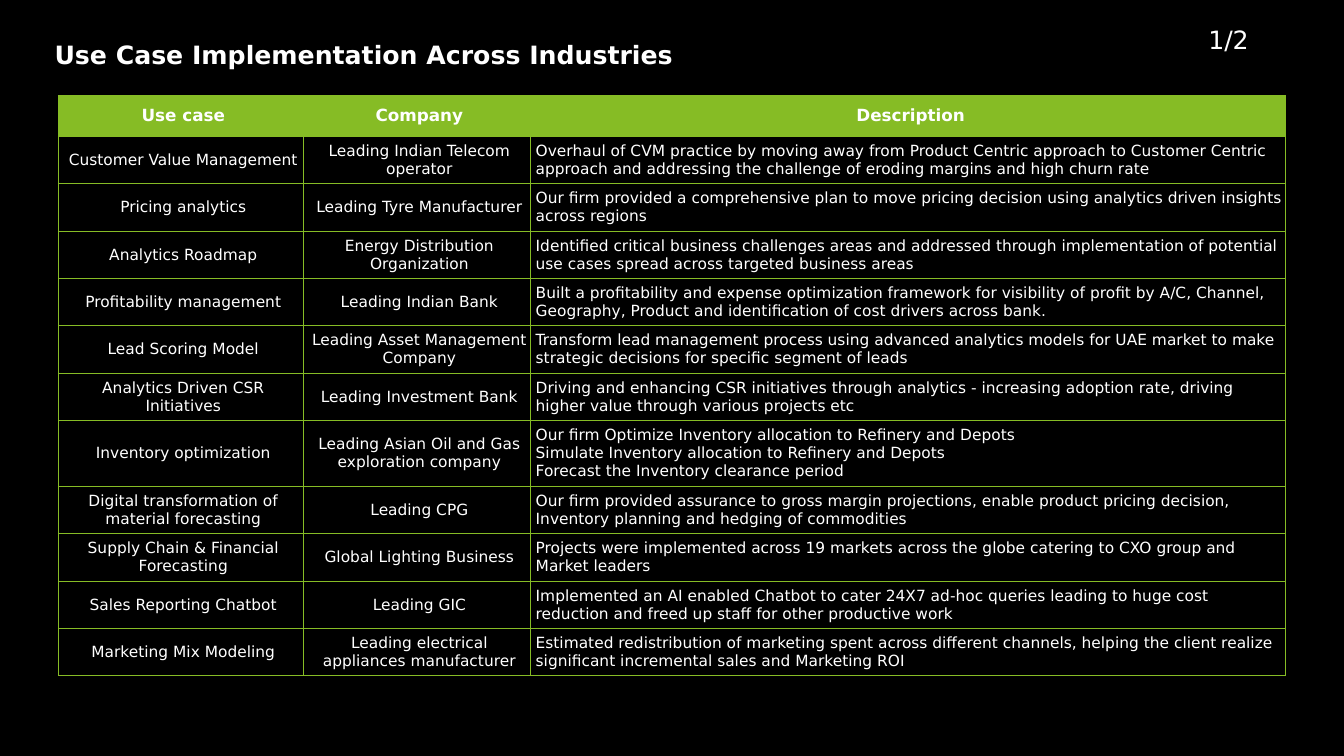
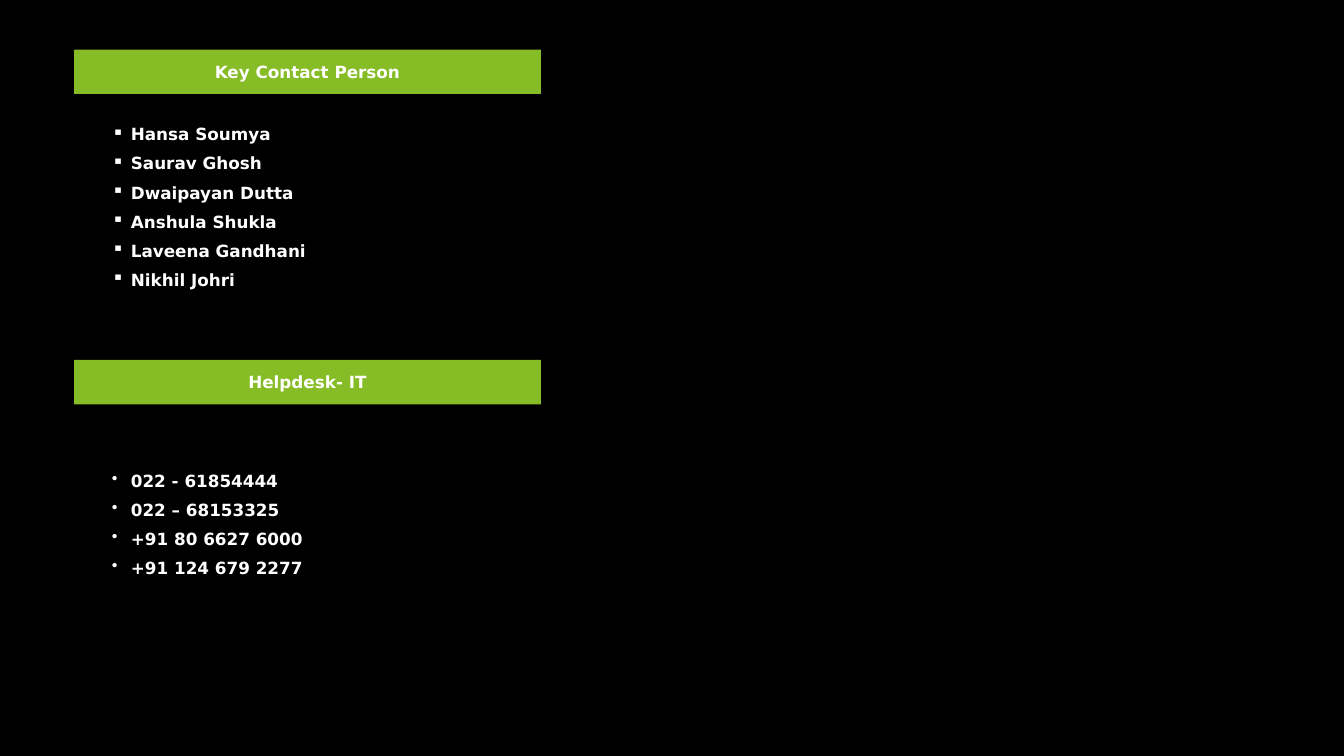
"""Build two slides: a use case table and a contact list."""
from dataclasses import dataclass

from lxml.etree import SubElement
from pptx import Presentation
from pptx.dml.color import RGBColor as RGB
from pptx.enum.shapes import MSO_SHAPE as SHAPE
from pptx.enum.text import MSO_ANCHOR as ANCHOR, MSO_AUTO_SIZE as AUTO, PP_ALIGN as ALIGN
from pptx.oxml import parse_xml
from pptx.oxml.ns import nsdecls, qn
from pptx.util import Cm, Pt


@dataclass(frozen=True)
class Theme:
    black: RGB = RGB(0x00, 0x00, 0x00)
    green: RGB = RGB(0x86, 0xBC, 0x25)
    white: RGB = RGB(0xFF, 0xFF, 0xFF)
    font: str = "DejaVu Sans"
    title: Pt = Pt(18)
    heading: Pt = Pt(12)
    body: Pt = Pt(11)


theme = Theme()
TITLE = {"size": theme.title, "bold": True}
PAGE = {"size": theme.title, "bold": False}
HEADING = {"size": theme.heading, "bold": True}
BODY = {"size": theme.body, "bold": False}


def write(tf, lines, fmt, align=ALIGN.LEFT, bullet=None, gap=Pt(0)):
    for i, line in enumerate(lines):
        p = tf.paragraphs[0] if i == 0 else tf.add_paragraph()
        if bullet:
            pPr = p._p.get_or_add_pPr()
            pPr.set("marL", str(Cm(0.48)))
            pPr.set("indent", str(Cm(-0.48)))
            SubElement(pPr, qn("a:buChar")).set("char", bullet)
        p.alignment = align
        if i and gap:
            p.space_before = gap
        r = p.add_run()
        r.text = line
        for name, value in {"name": theme.font, **fmt}.items():
            setattr(r.font, name, value)
        r.font.color.rgb = theme.white


def add_box(s, left, top, width, height, color):
    sp = s.shapes.add_shape(SHAPE.RECTANGLE, Cm(left), Cm(top), Cm(width), Cm(height))
    sp.shadow.inherit = False
    sp.fill.solid()
    sp.fill.fore_color.rgb = color
    sp.line.fill.background()
    return sp.text_frame


prs = Presentation()
prs.slide_width, prs.slide_height = Cm(33.87), Cm(19.05)
bg = prs.slide_master.background.fill
bg.solid()
bg.fore_color.rgb = theme.black

s = prs.slides.add_slide(prs.slide_layouts[5])
title = s.shapes.title
for name, value in {"left": 1.12, "top": 0.86, "width": 26.2, "height": 1.02}.items():
    setattr(title, name, Cm(value))
tf = title.text_frame
tf.auto_size, tf.vertical_anchor = AUTO.NONE, ANCHOR.TOP
write(tf, ["Use Case Implementation Across Industries"], TITLE)

tf = s.shapes.add_textbox(Cm(30.45), Cm(0.61), Cm(1.6), Cm(0.76)).text_frame
tf.word_wrap = True
for side in ("left", "top", "right", "bottom"):
    setattr(tf, f"margin_{side}", 0)
write(tf, ["1/2"], PAGE)

rows = [
    ("Use case", "Company", "Description"),
    ("Customer Value Management", "Leading Indian Telecom operator",
     "Overhaul of CVM practice by moving away from Product Centric approach to Customer Centric "
     "approach and addressing the challenge of eroding margins and high churn rate"),
    ("Pricing analytics", "Leading Tyre Manufacturer",
     "Our firm provided a comprehensive plan to move pricing decision using analytics driven "
     "insights across regions"),
    ("Analytics Roadmap", "Energy Distribution Organization",
     "Identified critical business challenges areas and addressed through implementation of "
     "potential use cases spread across targeted business areas"),
    ("Profitability management", "Leading Indian Bank",
     "Built a profitability and expense optimization framework for visibility of profit by A/C, "
     "Channel, Geography, Product and identification of cost drivers across bank."),
    ("Lead Scoring Model", "Leading Asset Management Company",
     "Transform lead management process using advanced analytics models for UAE market to make "
     "strategic decisions for specific segment of leads"),
    ("Analytics Driven CSR Initiatives", "Leading Investment Bank",
     "Driving and enhancing CSR initiatives through analytics - increasing adoption rate, driving "
     "higher value through various projects etc"),
    ("Inventory optimization", "Leading Asian Oil and Gas exploration company",
     "Our firm Optimize Inventory allocation to Refinery and Depots\n"
     "Simulate Inventory allocation to Refinery and Depots\n"
     "Forecast the Inventory clearance period"),
    ("Digital transformation of material forecasting", "Leading CPG",
     "Our firm provided assurance to gross margin projections, enable product pricing decision, "
     "Inventory planning and hedging of commodities"),
    ("Supply Chain & Financial Forecasting", "Global Lighting Business",
     "Projects were implemented across 19 markets across the globe catering to CXO group and "
     "Market leaders"),
    ("Sales Reporting Chatbot", "Leading GIC",
     "Implemented an AI enabled Chatbot to cater 24X7 ad-hoc queries leading to huge cost "
     "reduction and freed up staff for other productive work"),
    ("Marketing Mix Modeling", "Leading electrical appliances manufacturer",
     "Estimated redistribution of marketing spent across different channels, helping the client "
     "realize significant incremental sales and Marketing ROI"),
]
col_widths = [6.17, 5.73, 19.03]
row_heights = [1.03] + [1.64 if "\n" in row[2] else 1.19 for row in rows[1:]]
table = s.shapes.add_table(len(rows), len(col_widths), Cm(1.47), Cm(2.41),
                           Cm(sum(col_widths)), Cm(sum(row_heights))).table
table.first_row = table.horz_banding = False
for column, width in zip(table.columns, col_widths):
    column.width = Cm(width)

cell_format = {"vertical_anchor": ANCHOR.MIDDLE, "margin_left": Cm(0.13), "margin_top": Cm(0.13),
               "margin_right": 0, "margin_bottom": Cm(0.13)}
for i, (row, height) in enumerate(zip(rows, row_heights)):
    table.rows[i].height = Cm(height)
    for j, text in enumerate(row):
        cell = table.cell(i, j)
        for name, value in cell_format.items():
            setattr(cell, name, value)
        cell.fill.solid()
        cell.fill.fore_color.rgb = theme.black if i else theme.green
        for k, edge in enumerate(("lnL", "lnR", "lnT", "lnB")):
            cell._tc.get_or_add_tcPr().insert(k, parse_xml(
                f'<a:{edge} {nsdecls("a")} w="{Pt(0.75)}"><a:solidFill>'
                f'<a:srgbClr val="{theme.green}"/></a:solidFill></a:{edge}>'))
        align = ALIGN.LEFT if i and j == 2 else ALIGN.CENTER
        write(cell.text_frame, text.split("\n"), BODY if i else HEADING, align)

s = prs.slides.add_slide(prs.slide_layouts[6])
contact_groups = [
    ("Key Contact Person", 1.25, "▪", 3.0, 10.85, 4.98,
     ["Hansa Soumya", "Saurav Ghosh", "Dwaipayan Dutta", "Anshula Shukla",
      "Laveena Gandhani", "Nikhil Johri"]),
    ("Helpdesk- IT", 9.07, "•", 11.73, 5.49, 3.48,
     ["022 - 61854444", "022 – 68153325", "+91 80 6627 6000", "+91 124 679 2277"]),
]
for heading, band_top, bullet, top, width, height, entries in contact_groups:
    tf = add_box(s, 1.87, band_top, 11.76, 1.12, theme.green)
    tf.vertical_anchor = ANCHOR.MIDDLE
    write(tf, [heading], HEADING, ALIGN.CENTER)
    tf = add_box(s, 2.57, top, width, height, theme.black)
    tf.vertical_anchor = ANCHOR.TOP
    write(tf, entries, HEADING, bullet=bullet, gap=Pt(6.4))

prs.save("out.pptx")
